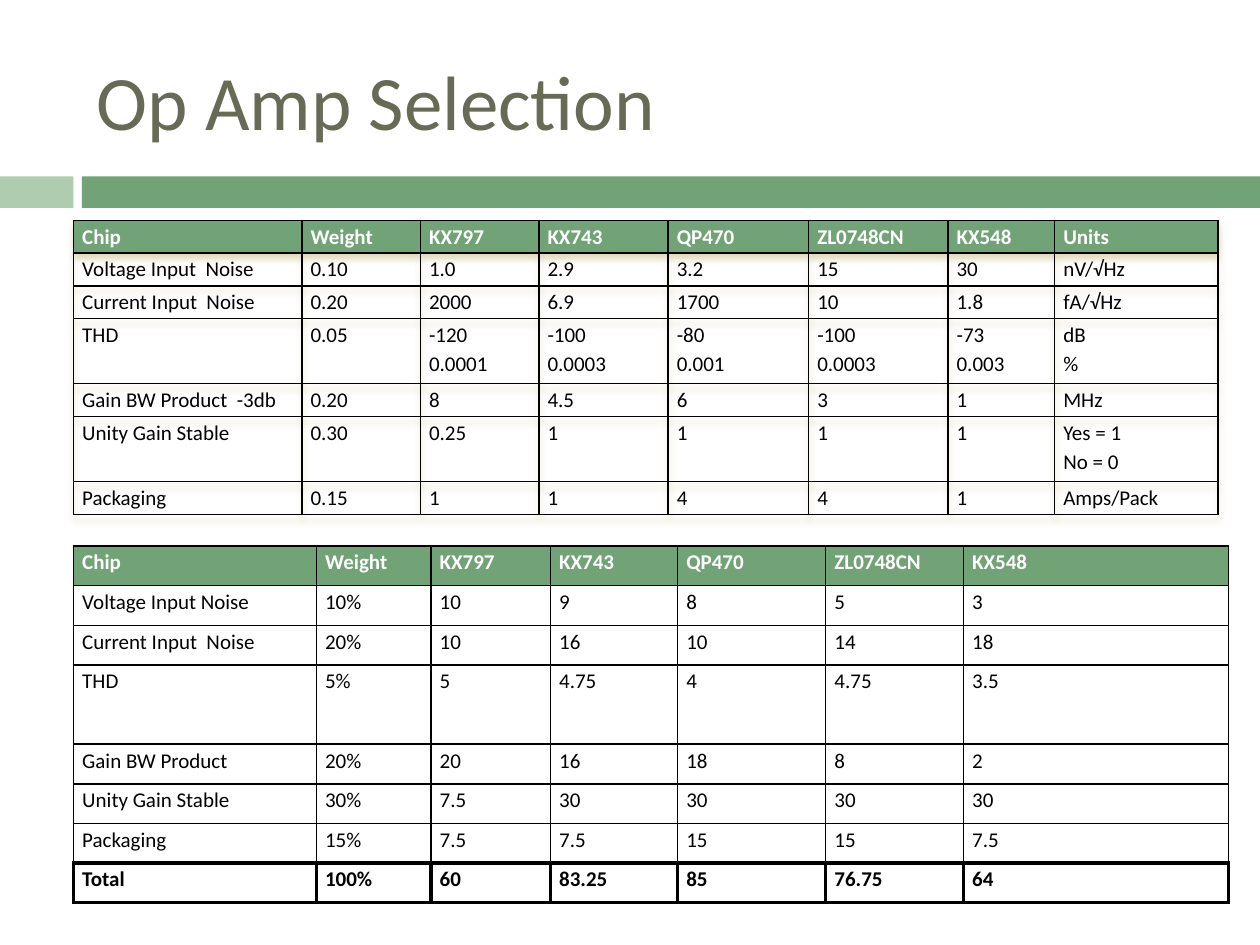
from lxml import etree
from pptx import Presentation
from pptx.dml.color import RGBColor
from pptx.enum import shapes, text
from pptx.oxml import ns
from pptx.util import Pt

GREEN = RGBColor(0x72, 0xA3, 0x76)
PALE_GREEN = RGBColor(0xB0, 0xCC, 0xB0)
OLIVE = RGBColor(0x67, 0x6A, 0x55)
TAN = RGBColor(0xB0, 0xA0, 0x50)
WHITE = RGBColor(0xFF, 0xFF, 0xFF)
BLACK = RGBColor(0, 0, 0)
FONT = "Calibri"
THIN, THICK = 1, 2.25

CHIPS = ["KX797", "KX743", "QP470", "ZL0748CN", "KX548"]
SPECIFICATIONS = [
    ["Chip", "Weight", *CHIPS, "Units"],
    ["Voltage Input  Noise", "0.10", "1.0", "2.9", "3.2", "15", "30", "nV/√Hz"],
    ["Current Input  Noise", "0.20", "2000", "6.9", "1700", "10", "1.8", "fA/√Hz"],
    ["THD", "0.05", "-120\n0.0001", "-100\n0.0003", "-80\n0.001",
     "-100\n0.0003", "-73\n0.003", "dB\n%"],
    ["Gain BW Product  -3db", "0.20", "8", "4.5", "6", "3", "1", "MHz"],
    ["Unity Gain Stable", "0.30", "0.25", "1", "1", "1", "1", "Yes = 1\nNo = 0"],
    ["Packaging", "0.15", "1", "1", "4", "4", "1", "Amps/Pack"],
]
SCORES = [
    ["Chip", "Weight", *CHIPS],
    ["Voltage Input Noise", "10%", "10", "9", "8", "5", "3"],
    ["Current Input  Noise", "20%", "10", "16", "10", "14", "18"],
    ["THD", "5%", "5", "4.75", "4", "4.75", "3.5"],
    ["Gain BW Product", "20%", "20", "16", "18", "8", "2"],
    ["Unity Gain Stable", "30%", "7.5", "30", "30", "30", "30"],
    ["Packaging", "15%", "7.5", "7.5", "15", "15", "7.5"],
    ["Total", "100%", "60", "83.25", "85", "76.75", "64"],
]


def add_title(slide, left, top, width, height):
    box = slide.shapes.add_textbox(Pt(left), Pt(top), Pt(width), Pt(height))
    frame = box.text_frame
    frame.word_wrap = True
    frame.vertical_anchor = text.MSO_ANCHOR.MIDDLE
    paragraph = frame.paragraphs[0]
    paragraph.text = "Op Amp Selection"
    paragraph.font.name = FONT
    paragraph.font.size = Pt(44)
    paragraph.font.color.rgb = OLIVE


def add_band(slide, left, top, width, height):
    """Short pale bar, a gap, then a long green bar."""
    short, gap = 42, 4.8
    bars = [(0, short, PALE_GREEN), (short + gap, width - short - gap, GREEN)]
    for offset, length, colour in bars:
        bar = slide.shapes.add_shape(shapes.MSO_SHAPE.RECTANGLE, Pt(left + offset),
                                     Pt(top), Pt(length), Pt(height))
        bar.shadow.inherit = False
        bar.fill.solid()
        bar.fill.fore_color.rgb = colour
        bar.line.fill.background()


def set_borders(cell, width, bottom):
    properties = cell._tc.get_or_add_tcPr()
    sides = {"lnL": width, "lnR": width, "lnT": width, "lnB": bottom}
    for index, (side, weight) in enumerate(sides.items()):
        line = etree.Element(ns.qn(f"a:{side}"), w=str(Pt(weight)))
        fill = etree.SubElement(line, ns.qn("a:solidFill"))
        etree.SubElement(fill, ns.qn("a:srgbClr"), val=str(BLACK))
        properties.insert(index, line)


def add_shadow(table):
    effects = etree.Element(ns.qn("a:effectLst"))
    shadow = etree.SubElement(effects, ns.qn("a:outerShdw"), blurRad=str(Pt(4)),
                              dist=str(Pt(3)), dir="5400000", rotWithShape="0")
    colour = etree.SubElement(shadow, ns.qn("a:srgbClr"), val=str(TAN))
    etree.SubElement(colour, ns.qn("a:alpha"), val="40000")
    table._tbl.tblPr.insert(0, effects)


def fill_cell(cell, value, header, total, bottom):
    cell.margin_left = cell.margin_right = Pt(5)
    cell.margin_top = cell.margin_bottom = 0
    cell.text = value
    for paragraph in cell.text_frame.paragraphs:
        paragraph.line_spacing = 1.15
        paragraph.font.name = FONT
        paragraph.font.size = Pt(12)
        paragraph.font.bold = header or total
        paragraph.font.color.rgb = WHITE if header else BLACK
    if header:
        cell.fill.solid()
        cell.fill.fore_color.rgb = GREEN
    else:
        cell.fill.background()
    set_borders(cell, THICK if total else THIN, bottom)


def add_chip_table(slide, rows, left, top, height, widths, tall_rows, has_total=False):
    """Grid of equal rows, where the tall ones take two units of height."""
    unit = height / (len(rows) + len(tall_rows))
    frame = slide.shapes.add_table(len(rows), len(widths), Pt(left), Pt(top),
                                   Pt(sum(widths)), Pt(height))
    table = frame.table
    table.horz_banding = False
    for column, width in zip(table.columns, widths):
        column.width = Pt(width)
    last = len(rows) - 1
    for r, values in enumerate(rows):
        table.rows[r].height = Pt(unit * (2 if r in tall_rows else 1))
        total = has_total and r == last
        bottom = THICK if has_total and r >= last - 1 else THIN
        for c, value in enumerate(values):
            fill_cell(table.cell(r, c), value, r == 0, total, bottom)
    return table


def main():
    presentation = Presentation()
    presentation.slide_width, presentation.slide_height = Pt(720), Pt(540)
    slide = presentation.slides.add_slide(presentation.slide_layouts[6])

    # Heading
    add_band(slide, 0, 100.8, 720, 18)
    add_title(slide, 48, 18, 642, 78)

    # Measured values, then weighted scores
    specifications = add_chip_table(
        slide, SPECIFICATIONS, 42, 126, 168,
        [130.5, 67.7, 67.7, 73.9, 80.3, 79.6, 61, 93.5], tall_rows={3, 5})
    add_shadow(specifications)
    add_chip_table(
        slide, SCORES, 42, 312, 204,
        [138.8, 65.5, 68.3, 72.6, 84.7, 78.7, 151.4], tall_rows={3}, has_total=True)

    presentation.save("out.pptx")


if __name__ == "__main__":
    main()
